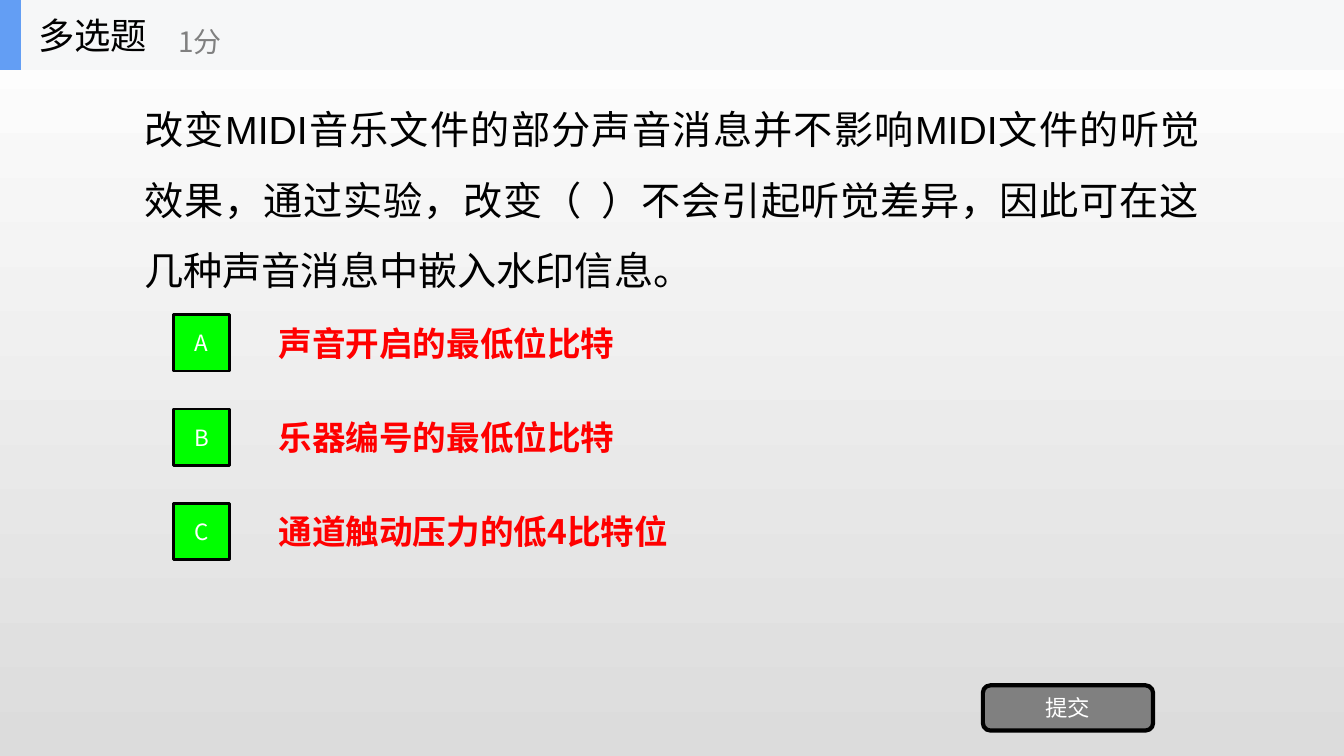
from dataclasses import dataclass

from lxml import etree
from pptx import Presentation
from pptx.dml.color import RGBColor
from pptx.enum.shapes import MSO_SHAPE
from pptx.enum.text import MSO_ANCHOR, PP_ALIGN
from pptx.oxml.ns import qn
from pptx.util import Cm, Pt

RECT, ROUNDED = MSO_SHAPE.RECTANGLE, MSO_SHAPE.ROUNDED_RECTANGLE
MIDDLE = MSO_ANCHOR.MIDDLE
LEFT, CENTER, JUSTIFY = PP_ALIGN.LEFT, PP_ALIGN.CENTER, PP_ALIGN.JUSTIFY


@dataclass(frozen=True)
class Theme:
    """Fonts, colours and type sizes of the quiz slide."""
    chinese: str = "Noto Sans CJK SC"
    latin: str = "Arial"
    ink: str = "000000"
    grey: str = "808080"
    white: str = "FFFFFF"
    backdrop_end: str = "DCDCDC"
    header: str = "F6F7F8"
    accent: str = "639EF4"
    badge: str = "00FF00"
    answer: str = "FF0000"
    question_size: int = 28
    title_size: int = 26
    answer_size: int = 24
    points_size: int = 20
    label_size: int = 16


@dataclass(frozen=True)
class Box:
    """A rectangle measured in centimetres."""
    left: float
    top: float
    width: float
    height: float

    def inner(self, left, top, width, height):
        """Return a box placed relative to this one."""
        return Box(self.left + left, self.top + top, width, height)

    def lengths(self):
        """Return the four lengths for python-pptx."""
        return Cm(self.left), Cm(self.top), Cm(self.width), Cm(self.height)


THEME = Theme()
QUESTION = (
    ("改变", THEME.chinese),
    ("MIDI", THEME.latin),
    ("音乐文件的部分声音消息并不影响", THEME.chinese),
    ("MIDI", THEME.latin),
    ("文件的听觉效果，通过实验，改变（  ）不会引起听觉差异，"
     "因此可在这几种声音消息中嵌入水印信息。", THEME.chinese),
)
ANSWERS = (
    ("A", "声音开启的最低位比特"),
    ("B", "乐器编号的最低位比特"),
    ("C", "通道触动压力的低4比特位"),
)


def write(shape, pieces, size, color, align=LEFT, bold=False):
    """Write (text, font) pieces as one paragraph and return it."""
    frame = shape.text_frame
    frame.word_wrap = True
    frame.vertical_anchor = MIDDLE
    paragraph = frame.paragraphs[0]
    paragraph.alignment = align
    for text, typeface in pieces:
        run = paragraph.add_run()
        run.text = text
        run.font.size = Pt(size)
        run.font.bold = bold
        run.font.color.rgb = RGBColor.from_string(color)
        run.font.name = typeface
        east_asian = etree.SubElement(run.font._element, qn("a:ea"))
        east_asian.set("typeface", typeface)
    return paragraph


def add_label(shapes, box, text, size, color, bold=False):
    """Add a left-aligned line of text."""
    label = shapes.add_textbox(*box.lengths())
    write(label, [(text, THEME.chinese)], size, color, bold=bold)


def add_block(shapes, kind, box, fill, line_width=0):
    """Add a filled shape, outlined when a line width is given."""
    block = shapes.add_shape(kind, *box.lengths())
    block.shadow.inherit = False
    block.fill.solid()
    block.fill.fore_color.rgb = RGBColor.from_string(fill)
    if line_width:
        block.line.width = Pt(line_width)
        block.line.color.rgb = RGBColor.from_string(THEME.ink)
    else:
        block.line.fill.background()
    return block


def paint_background(slide):
    """Fill the slide with a gradient running from top to bottom."""
    fill = slide.background.fill
    fill.gradient()
    fill.gradient_angle = 270
    for stop, color in zip(fill.gradient_stops, (THEME.white, THEME.backdrop_end)):
        stop.color.rgb = RGBColor.from_string(color)


def add_question(shapes, box):
    """Add the question stem."""
    stem = shapes.add_textbox(*box.lengths())
    paragraph = write(stem, QUESTION, THEME.question_size, THEME.ink, JUSTIFY)
    paragraph.line_spacing = 1.5


def add_answers(shapes, box):
    """Add the lettered answers in evenly spaced rows."""
    row_height, badge_side, text_left = 1.78, 1.42, 2.4
    pitch = (box.height - row_height) / (len(ANSWERS) - 1)
    for index, (letter, answer) in enumerate(ANSWERS):
        row = box.inner(0, index * pitch, box.width, row_height)
        add_label(shapes, row.inner(text_left, 0, row.width - text_left, row_height),
                  answer, THEME.answer_size, THEME.answer, bold=True)
        badge_box = row.inner(0, (row_height - badge_side) / 2, badge_side, badge_side)
        badge = add_block(shapes, RECT, badge_box, THEME.badge, 2)
        write(badge, [(letter, THEME.chinese)], THEME.label_size, THEME.white, CENTER)


def add_submit(shapes, box):
    """Add the submit button."""
    button = add_block(shapes, ROUNDED, box, THEME.grey, 3)
    write(button, [("提交", THEME.chinese)], THEME.label_size, THEME.white, CENTER)


def add_header(shapes, box):
    """Add the grouped header bar with question type and points."""
    header = shapes.add_group_shape().shapes
    add_block(header, RECT, box, THEME.header)
    add_block(header, RECT, box.inner(0, 0, 0.53, box.height), THEME.accent)
    add_label(header, box.inner(0.71, 0, 5.28, box.height),
              "多选题", THEME.title_size, THEME.ink)
    add_label(header, box.inner(4.24, 0.32, 6.35, 1.42),
              "1分", THEME.points_size, THEME.grey)


def main():
    """Build and save the quiz slide."""
    deck = Presentation()
    deck.slide_width, deck.slide_height = Cm(33.87), Cm(19.05)
    slide = deck.slides.add_slide(deck.slide_layouts[6])
    paint_background(slide)
    add_question(slide.shapes, Box(3.39, 1.76, 27.09, 5.94))
    add_answers(slide.shapes, Box(4.37, 7.75, 26.11, 6.53))
    add_submit(slide.shapes, Box(24.77, 17.27, 4.29, 1.14))
    add_header(slide.shapes, Box(0, 0, 33.87, 1.76))
    deck.save("out.pptx")


if __name__ == "__main__":
    main()
